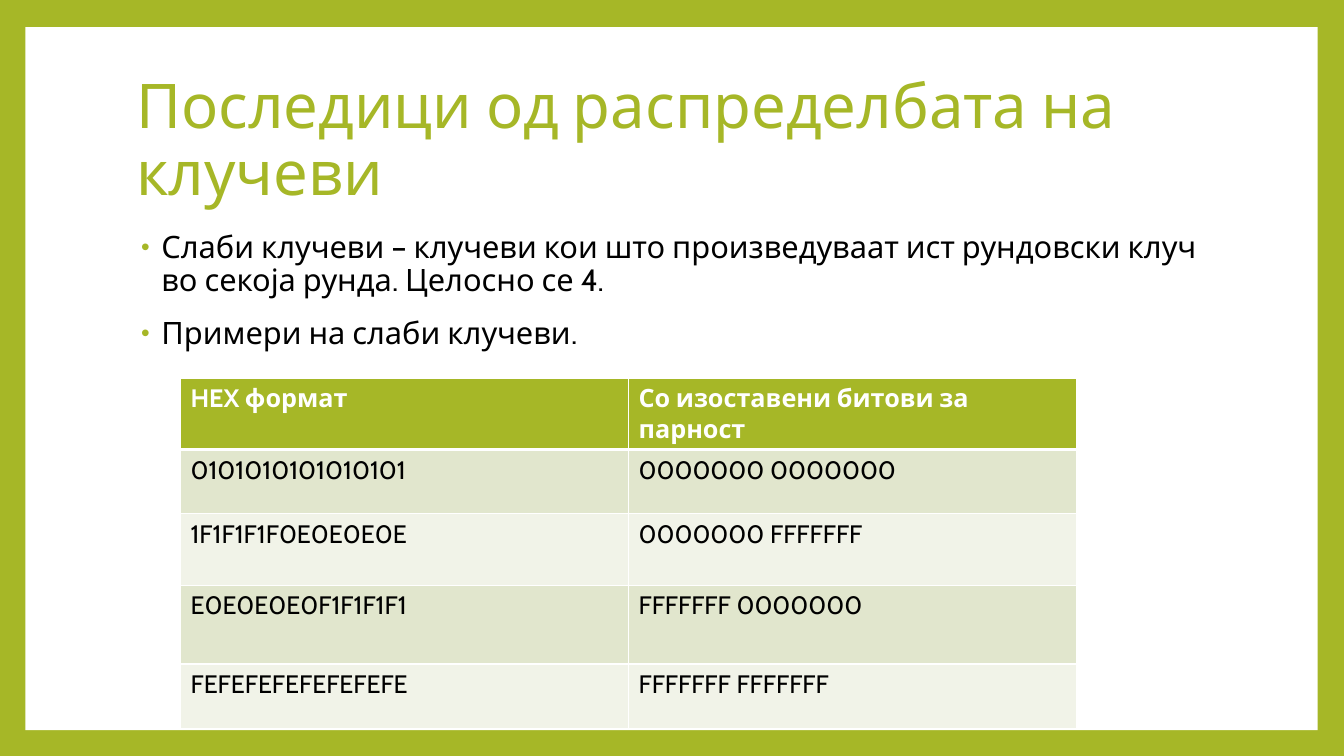
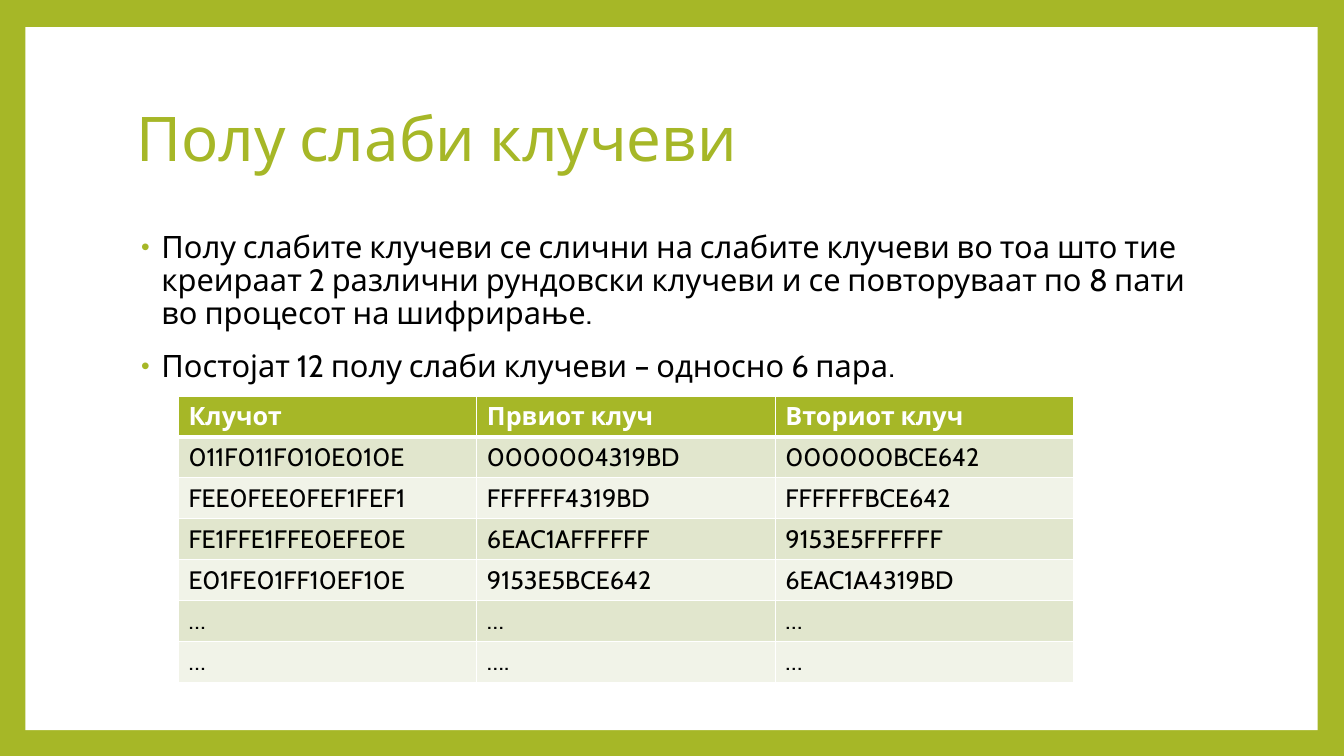
from dataclasses import dataclass

from lxml.etree import SubElement
from pptx import Presentation
from pptx.dml.color import RGBColor as Color
from pptx.enum.shapes import MSO_SHAPE as Preset
from pptx.enum.text import MSO_ANCHOR as Anchor, MSO_AUTO_SIZE as AutoSize, PP_ALIGN as Align
from pptx.oxml import parse_xml
from pptx.oxml.ns import nsdecls, qn
from pptx.util import Inches, Pt


@dataclass(frozen=True)
class Theme:
    font: str = "Cabin"
    green: str = "A6B727"
    white: str = "FFFFFF"
    black: str = "000000"
    bands: tuple = ("F1F3E8", "E1E6CD")
    title_size: int = 44
    body_size: int = 22
    table_size: int = 18
    rule: int = 1
    header_rule: int = 3


theme = Theme()
deck = Presentation()
deck.slide_width, deck.slide_height = Inches(13.33), Inches(7.5)


def place(left, top, width, height):
    across, down = deck.slide_width / 100, deck.slide_height / 100
    return [round(n) for n in (left * across, top * down, width * across, height * down)]


def write(para, text, *, size, color, bold=False, spacing=1.0, before=0):
    para.alignment = Align.LEFT
    para.line_spacing = spacing
    para.space_before = Pt(before)
    span = para.add_run()
    span.text = text
    span.font.name = theme.font
    span.font.size = Pt(size)
    span.font.bold = bold
    span.font.color.rgb = Color.from_string(color)


pages = [
    {
        "title": "Последици од распределбата на клучеви",
        "points": [
            "Слаби клучеви – клучеви кои што произведуваат ист рундовски клуч во секоја рунда. Целосно се 4.",
            "Примери на слаби клучеви.",
        ],
        "body_width": 82.05,
        "table_at": (13.43, 50),
        "table_width": 66.67,
        "row_heights": [4.93, 8.5, 9.45, 10.4, 8.53],
        "rows": [
            ["HEX формат", "Со изоставени битови за парност"],
            ["0101010101010101", "0000000 0000000"],
            ["1F1F1F1F0E0E0E0E", "0000000 FFFFFFF"],
            ["E0E0E0E0F1F1F1F1", "FFFFFFF 0000000"],
            ["FEFEFEFEFEFEFEFE", "FFFFFFF FFFFFFF"],
        ],
    },
    {
        "title": "Полу слаби клучеви",
        "points": [
            "Полу слабите клучеви се слични на слабите клучеви во тоа што тие креираат 2 различни рундовски клучеви и се повторуваат по 8 пати во процесот на шифрирање.",
            "Постојат 12 полу слаби клучеви – односно 6 пара.",
        ],
        "body_width": 81,
        "table_at": (13.28, 52.4),
        "table_width": 66.62,
        "row_heights": [5.4] * 7,
        "rows": [
            ["Клучот", "Првиот клуч", "Вториот клуч"],
            ["011F011F010E010E", "0000004319BD", "000000BCE642"],
            ["FEE0FEE0FEF1FEF1", "FFFFFF4319BD", "FFFFFFBCE642"],
            ["FE1FFE1FFE0EFE0E", "6EAC1AFFFFFF", "9153E5FFFFFF"],
            ["E01FE01FF10EF10E", "9153E5BCE642", "6EAC1A4319BD"],
            ["…", "…", "…"],
            ["…", "….", "…"],
        ],
    },
]

master = deck.slide_master
master.background.fill.solid()
master.background.fill.fore_color.rgb = Color.from_string(theme.green)

for content in pages:
    page = deck.slides.add_slide(deck.slide_layouts[1])

    panel = page.shapes.add_shape(Preset.RECTANGLE, *place(1.88, 3.6, 96.15, 92.97))
    panel.shadow.inherit = False
    panel.fill.solid()
    panel.fill.fore_color.rgb = Color.from_string(theme.white)
    panel.line.fill.background()
    page.shapes.element.insert(2, panel.element)

    title, body = page.shapes.title, page.placeholders[1]
    title.left, title.top, title.width, title.height = place(9.38, 8.9, 81, 19.73)
    body.left, body.top, body.width, body.height = place(9.38, 30, content["body_width"], 58.93)
    for box, anchor in ((title, Anchor.MIDDLE), (body, Anchor.TOP)):
        box.text_frame.word_wrap = True
        box.text_frame.auto_size = AutoSize.NONE
        box.text_frame.vertical_anchor = anchor

    write(title.text_frame.paragraphs[0], content["title"],
          size=theme.title_size, color=theme.green, spacing=0.9)

    for index, point in enumerate(content["points"]):
        para = body.text_frame.add_paragraph() if index else body.text_frame.paragraphs[0]
        write(para, point, size=theme.body_size, color=theme.black, spacing=0.9, before=14)
        props = para._p.get_or_add_pPr()
        props.set("marL", str(Inches(0.25)))
        props.set("indent", str(Inches(-0.2)))
        SubElement(SubElement(props, qn("a:buClr")), qn("a:srgbClr"), val=theme.green)
        SubElement(props, qn("a:buSzPct"), val="80000")
        SubElement(props, qn("a:buFont"), typeface="Arial")
        SubElement(props, qn("a:buChar"), char="•")

    rows, heights = content["rows"], content["row_heights"]
    frame = page.shapes.add_table(len(rows), len(rows[0]),
                                  *place(*content["table_at"], content["table_width"], sum(heights)))
    table = frame.table
    for row, height in zip(table.rows, heights):
        row.height = round(deck.slide_height * height / 100)

    for r, texts in enumerate(rows):
        header = r == 0
        for c, text in enumerate(texts):
            cell = table.cell(r, c)
            cell.fill.solid()
            cell.fill.fore_color.rgb = Color.from_string(theme.green if header else theme.bands[r % 2])
            write(cell.text_frame.paragraphs[0], text, size=theme.table_size,
                  color=theme.white if header else theme.black, bold=header)
            for order, side in enumerate("LRTB"):
                thick = (r, side) in ((0, "B"), (1, "T"))
                width = Pt(theme.header_rule if thick else theme.rule)
                cell._tc.get_or_add_tcPr().insert(order, parse_xml(
                    f'<a:ln{side} {nsdecls("a")} w="{width}"><a:solidFill>'
                    f'<a:srgbClr val="{theme.white}"/></a:solidFill></a:ln{side}>'))

deck.save("out.pptx")
